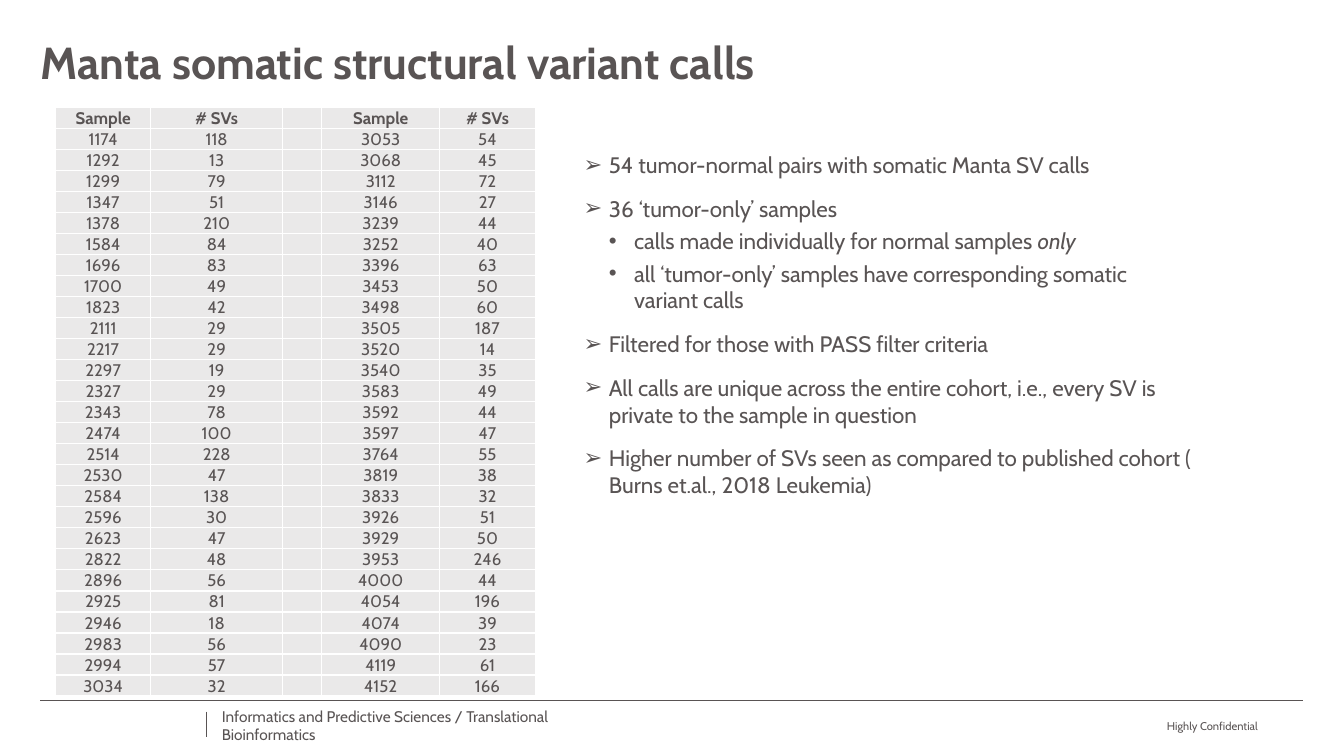
from lxml import etree
from pptx import Presentation
from pptx import util as u
from pptx.dml.color import RGBColor
from pptx.enum import shapes, text
from pptx.oxml import ns

FONT, INK, PALE, WHITE = "Cabin", "595454", "EAE9E9", "FFFFFF"
TITLE = "Manta somatic structural variant calls"
UNIT = "Informatics and Predictive Sciences / Translational Bioinformatics"
LABEL = "Highly Confidential"
POINTS = [
    (0, [("54 tumor-normal pairs with somatic Manta SV calls", False)]),
    (0, [("36 ‘tumor-only’ samples", False)]),
    (1, [("calls made individually for normal samples ", False), ("only", True)]),
    (1, [("all ‘tumor-only’ samples have corresponding somatic variant calls", False)]),
    (0, [("Filtered for those with PASS filter criteria", False)]),
    (0, [("All calls are unique across the entire cohort, i.e., every SV is "
          "private to the sample in question", False)]),
    (0, [("Higher number of SVs seen as compared to published cohort ( "
          "Burns et.al., 2018 Leukemia)", False)]),
]
HEAD = ("Sample", "# SVs")
LEFT = [
    (1174, 118), (1292, 13), (1299, 79), (1347, 51), (1378, 210), (1584, 84),
    (1696, 83), (1700, 49), (1823, 42), (2111, 29), (2217, 29), (2297, 19),
    (2327, 29), (2343, 78), (2474, 100), (2514, 228), (2530, 47), (2584, 138),
    (2596, 30), (2623, 47), (2822, 48), (2896, 56), (2925, 81), (2946, 18),
    (2983, 56), (2994, 57), (3034, 32),
]
RIGHT = [
    (3053, 54), (3068, 45), (3112, 72), (3146, 27), (3239, 44), (3252, 40),
    (3396, 63), (3453, 50), (3498, 60), (3505, 187), (3520, 14), (3540, 35),
    (3583, 49), (3592, 44), (3597, 47), (3764, 55), (3819, 38), (3833, 32),
    (3926, 51), (3929, 50), (3953, 246), (4000, 44), (4054, 196), (4074, 39),
    (4090, 23), (4119, 61), (4152, 166),
]
WIDTHS = (2.4, 3.32, 0.99, 2.97, 2.41)
PITCH = 0.53
RULES = [(1.02, 17.65, 32.84, 17.65), (5.21, 17.93, 5.21, 18.57)]
BULLETS = [("➢", 12), ("•", 4)]
INDENT = 0.635
ANCHOR, ALIGN = text.MSO_ANCHOR, text.PP_ALIGN


def tint(code):
    return RGBColor.from_string(code)


def put(item, form):
    for key, val in form.items():
        setattr(item, key, val)


def node(root, tag, **attrs):
    return etree.SubElement(root, ns.qn("a:" + tag), attrs)


def write(para, words, size, **form):
    run = para.add_run()
    run.text = words
    put(run.font, {"name": FONT, "size": u.Pt(size), **form})
    run.font.color.rgb = tint(INK)


def frame(slide, box, **form):
    body = slide.shapes.add_textbox(*map(u.Cm, box)).text_frame
    put(body, {"margin_left": 0, "margin_right": 0, "margin_top": 0,
               "margin_bottom": 0, "word_wrap": True, **form})
    return body


def rule(slide, ends):
    line = slide.shapes.add_connector(shapes.MSO_CONNECTOR.STRAIGHT, *map(u.Cm, ends))
    line.line.width = u.Pt(0.5)
    line.line.color.rgb = tint(INK)
    node(line._element.spPr, "effectLst")


def bullets(slide):
    body = frame(slide, (14.71, 3.81, 15.39, 13.36))
    for num, (level, runs) in enumerate(POINTS):
        para = body.add_paragraph() if num else body.paragraphs[0]
        mark, gap = BULLETS[level]
        put(para, {"level": level, "space_before": u.Pt(gap)})
        props = para._p.get_or_add_pPr()
        props.set("marL", str(u.Cm(INDENT * (level + 1))))
        props.set("indent", str(-u.Cm(INDENT)))
        node(props, "buFont", typeface="Arial")
        node(props, "buChar", char=mark)
        for words, slant in runs:
            write(para, words, 16, italic=slant)


def cell(spot, words, bold):
    put(spot, {"margin_left": u.Cm(0.02), "margin_right": u.Cm(0.02),
               "margin_top": u.Cm(0.02), "margin_bottom": 0,
               "vertical_anchor": ANCHOR.BOTTOM})
    props = spot._tc.get_or_add_tcPr()
    for side in "LRTB":
        edge = node(props, "ln" + side, w=str(u.Pt(1)))
        node(node(edge, "solidFill"), "srgbClr", val=WHITE)
    spot.fill.solid()
    spot.fill.fore_color.rgb = tint(PALE)
    para = spot.text_frame.paragraphs[0]
    para.alignment = ALIGN.CENTER
    if words:
        write(para, words, 12, bold=bold)
    else:
        node(para._p, "endParaRPr", sz="1000")


def table(slide):
    rows = [(*one, "", *two) for one, two in zip([HEAD] + LEFT, [HEAD] + RIGHT)]
    box = (1.4, 2.7, sum(WIDTHS), PITCH * len(rows))
    grid = slide.shapes.add_table(len(rows), len(WIDTHS), *map(u.Cm, box)).table
    put(grid, {"first_row": False, "horz_banding": False})
    for col, width in zip(grid.columns, WIDTHS):
        col.width = u.Cm(width)
    for y, row in enumerate(rows):
        grid.rows[y].height = u.Cm(PITCH)
        for x, words in enumerate(row):
            cell(grid.cell(y, x), str(words), y == 0)


def main():
    deck = Presentation()
    put(deck, {"slide_width": u.Cm(33.87), "slide_height": u.Cm(19.05)})
    slide = deck.slides.add_slide(deck.slide_layouts[6])
    for ends in RULES:
        rule(slide, ends)
    unit = frame(slide, (5.59, 17.96, 10.52, 0.64),
                 vertical_anchor=ANCHOR.MIDDLE, word_wrap=False)
    write(unit.paragraphs[0], UNIT, 11)
    label = frame(slide, (22.78, 17.86, 8.92, 0.64),
                  vertical_anchor=ANCHOR.BOTTOM, margin_bottom=u.Cm(0.03))
    label.paragraphs[0].alignment = ALIGN.RIGHT
    write(label.paragraphs[0], LABEL, 8)
    title = frame(slide, (1.02, 1.02, 31.83, 2.54))
    title.paragraphs[0].line_spacing = 0.9
    write(title.paragraphs[0], TITLE, 32, bold=True)
    bullets(slide)
    table(slide)
    deck.save("out.pptx")


if __name__ == "__main__":
    main()
